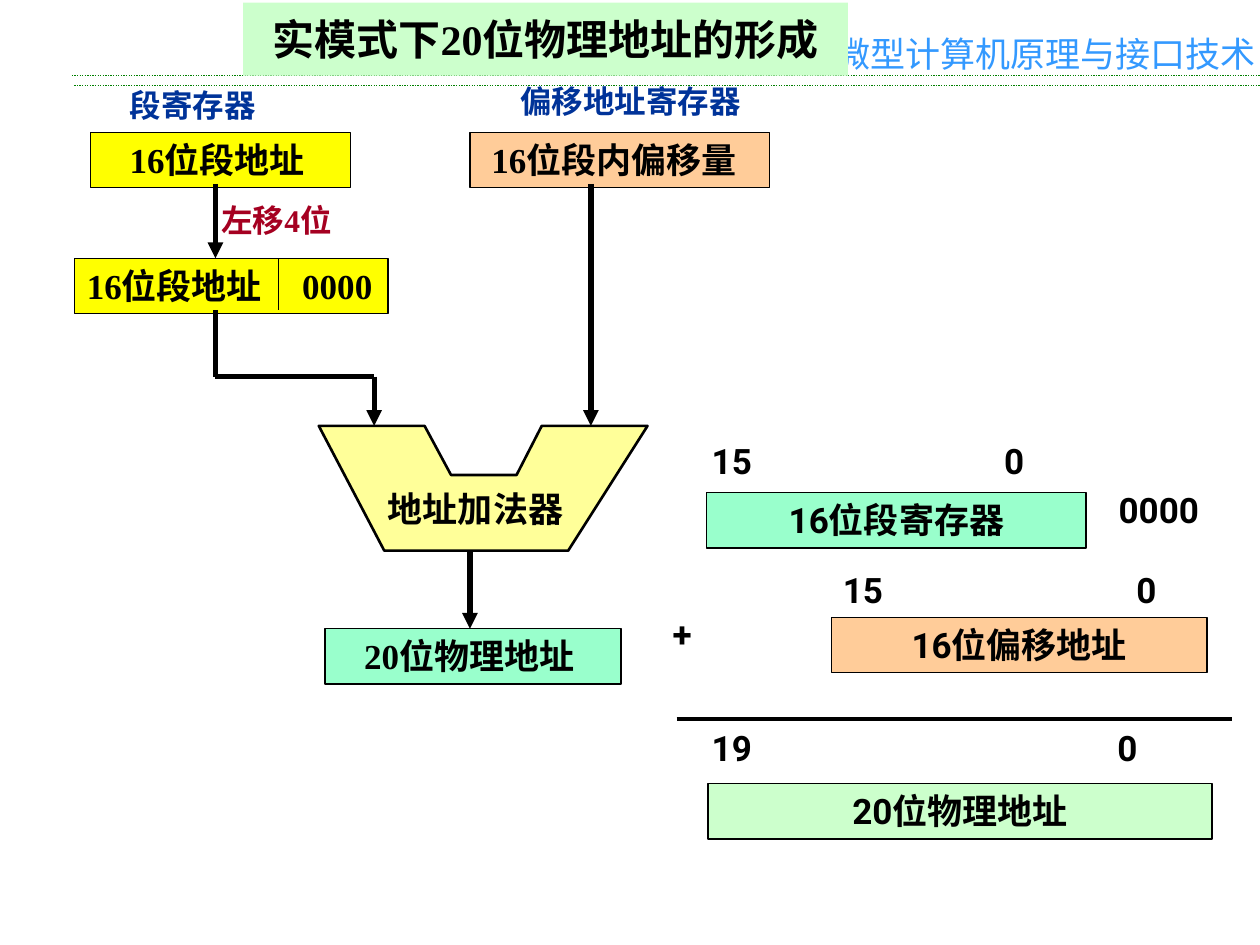
import pptx
import pptx.dml.color
import pptx.enum.dml
import pptx.enum.shapes
import pptx.enum.text
import pptx.oxml
import pptx.oxml.ns
import pptx.util

Inches = pptx.util.Inches
ALIGN = pptx.enum.text.PP_ALIGN

THEME = {
    "black": "000000", "rule": "008000", "header": "3399FF", "label": "003399",
    "shift": "A50021", "segment": "FFFF00", "offset": "FFCC99",
    "mint": "99FFCC", "pale": "CCFFCC", "adder": "FFFF99",
    "serif": "Times New Roman", "sans": "Roboto", "cjk": "Noto Sans CJK SC",
}
STYLES = {  # font, size, bold, colour
    "title": ("serif", 24, True, "black"),
    "header": ("cjk", 20, False, "header"),
    "flow": ("serif", 20, True, "black"),
    "label": ("serif", 18, True, "label"),
    "shift": ("serif", 18, True, "shift"),
    "sum": ("sans", 20, True, "black"),
}
ROW = 0.44
LABEL_ROW = 0.4

HEADER = ("微型计算机原理与接口技术", (6.53, 0.21, 3.47, 0.4), "header", {"right": 0})
HEADER_RULES = [((0.59, 0.68), (10, 0.68)), ((0.57, 0.6), (10, 0.6))]
TITLE = ("实模式下20位物理地址的形成", (1.93, 0.02, 4.8, 0.58), "title",
         {"fill": "pale", "center": True, "inset": 0.09})

FLOW_BOXES = [
    ("16位段地址", (0.72, 1.05, 2.06, ROW), "flow", {"fill": "segment", "border": True, "indent": 0.21}),
    ("16位段内偏移量", (3.73, 1.05, 2.38, ROW), "flow", {"fill": "offset", "border": True, "indent": 0.07}),
    ("16位段地址\t0000", (0.59, 2.05, 2.49, ROW), "flow", {"fill": "segment", "border": True, "tab": 1.71}),
    ("20位物理地址", (2.58, 4.99, 2.35, ROW), "flow", {"fill": "mint", "border": True, "indent": 0.21}),
]
FLOW_LABELS = [
    ("地址加法器", (2.98, 3.82, 1.65, ROW), "flow", {}),
    ("段寄存器", (0.93, 0.63, 1.25, LABEL_ROW), "label", {}),
    ("偏移地址寄存器", (4.03, 0.6, 2.05, LABEL_ROW), "label", {}),
    ("左移4位", (1.66, 1.55, 1.4, LABEL_ROW), "shift", {}),
]
ADDER_OUTLINE = [(2.53, 3.38), (3.37, 3.38), (3.58, 3.77), (4.1, 3.77),
                 (4.3, 3.38), (5.14, 3.38), (4.51, 4.37), (3.05, 4.37)]
FIELD_DIVIDER = ((2.21, 2.05), (2.21, 2.46))
FLOW_PATHS = [  # each ends in an arrowhead
    [(1.71, 1.46), (1.71, 2.05)],
    [(4.69, 1.46), (4.69, 3.38)],
    [(1.71, 2.46), (1.71, 2.99), (2.97, 2.99), (2.97, 3.38)],
    [(3.73, 4.37), (3.73, 4.99)],
]

SUM_ITEMS = [
    ("15\t0", (5.55, 3.44, 3.39, ROW), "sum", {"tab": 2.32}),
    ("16位段寄存器", (5.61, 3.91, 3.01, ROW), "sum", {"fill": "mint", "border": True, "center": True}),
    ("0000", (8.78, 3.83, 1.1, ROW), "sum", {}),
    ("20位物理地址", (5.62, 6.22, 4, ROW), "sum", {"fill": "pale", "border": True, "center": True}),
    ("19\t0", (5.55, 5.72, 4.45, ROW), "sum", {"tab": 3.22}),
    ("+", (5.24, 4.81, 0.4, ROW), "sum", {}),
    ("15\t0", (6.59, 4.46, 3.12, ROW), "sum", {"tab": 2.33}),
    ("16位偏移地址", (6.6, 4.9, 2.98, ROW), "sum", {"fill": "offset", "border": True, "center": True}),
]
SUM_RULE = ((5.37, 5.71), (9.78, 5.71))


def color(name):
    return pptx.dml.color.RGBColor.from_string(THEME[name])


def append_element(parent, tag, **attributes):
    child = parent.makeelement(pptx.oxml.ns.qn(tag), attributes)
    parent.append(child)
    return child


def paint(shape, fill, border_width):
    shape.shadow.inherit = False
    shape.fill.solid()
    shape.fill.fore_color.rgb = color(fill)
    if border_width:
        shape.line.color.rgb = color("black")
        shape.line.width = pptx.util.Pt(border_width)
    else:
        shape.line.fill.background()


def add_item(slide, text, place, style, options):
    """Add a text box, or a filled rectangle when the options name a fill."""
    box = [Inches(length) for length in place]
    if "fill" in options:
        shape = slide.shapes.add_shape(pptx.enum.shapes.MSO_SHAPE.RECTANGLE, *box)
        paint(shape, options["fill"], 0.75 if options.get("border") else 0)
    else:
        shape = slide.shapes.add_textbox(*box)

    inset = Inches(options.get("inset", 0.05))
    frame_format = {
        "word_wrap": True,
        "vertical_anchor": pptx.enum.text.MSO_ANCHOR.TOP,
        "margin_left": Inches(0.1 + options.get("indent", 0)),
        "margin_right": Inches(options.get("right", 0.1)),
        "margin_top": inset,
        "margin_bottom": inset,
    }
    for name, value in frame_format.items():
        setattr(shape.text_frame, name, value)

    paragraph = shape.text_frame.paragraphs[0]
    paragraph.alignment = ALIGN.CENTER if options.get("center") else ALIGN.LEFT
    if "tab" in options:
        stops = append_element(paragraph._p.get_or_add_pPr(), "a:tabLst")
        append_element(stops, "a:tab", pos=str(Inches(options["tab"])), algn="l")

    run = paragraph.add_run()
    run.text = text
    font, size, bold, text_color = STYLES[style]
    font_format = {"name": THEME[font], "size": pptx.util.Pt(size), "bold": bold}
    for name, value in font_format.items():
        setattr(run.font, name, value)
    run.font.color.rgb = color(text_color)
    append_element(run._r.get_or_add_rPr(), "a:ea", typeface=THEME["cjk"])


def add_line(slide, start, end, width, line_color="black", dash=None, arrow=False):
    connector = slide.shapes.add_connector(
        pptx.enum.shapes.MSO_CONNECTOR.STRAIGHT,
        *[Inches(length) for length in start + end])
    connector.line.color.rgb = color(line_color)
    connector.line.width = pptx.util.Pt(width)
    if dash:
        connector.line.dash_style = dash
    if arrow:
        append_element(connector.line._get_or_add_ln(), "a:tailEnd", type="triangle")
    append_element(connector._element.spPr, "a:effectLst")


def add_adder(slide):
    corners = [(Inches(x), Inches(y)) for x, y in ADDER_OUTLINE]
    builder = slide.shapes.build_freeform(*corners[0])
    builder.add_line_segments(corners[1:], close=True)
    paint(builder.convert_to_shape(), "adder", 1.5)


def main():
    deck = pptx.Presentation()
    deck.slide_width, deck.slide_height = Inches(10), Inches(7.5)
    slide = deck.slides.add_slide(deck.slide_layouts[6])

    for start, end in HEADER_RULES:
        add_line(slide, start, end, 0.75, "rule", pptx.enum.dml.MSO_LINE.ROUND_DOT)
    add_item(slide, *HEADER)

    for item in FLOW_BOXES:
        add_item(slide, *item)
    add_line(slide, *FIELD_DIVIDER, 0.75)
    add_adder(slide)
    for points in FLOW_PATHS:
        for start, end in zip(points, points[1:]):
            add_line(slide, start, end, 3, arrow=end == points[-1])

    for item in FLOW_LABELS + SUM_ITEMS:
        add_item(slide, *item)
    add_line(slide, *SUM_RULE, 2.25)
    add_item(slide, *TITLE)
    deck.save("out.pptx")


if __name__ == "__main__":
    main()
